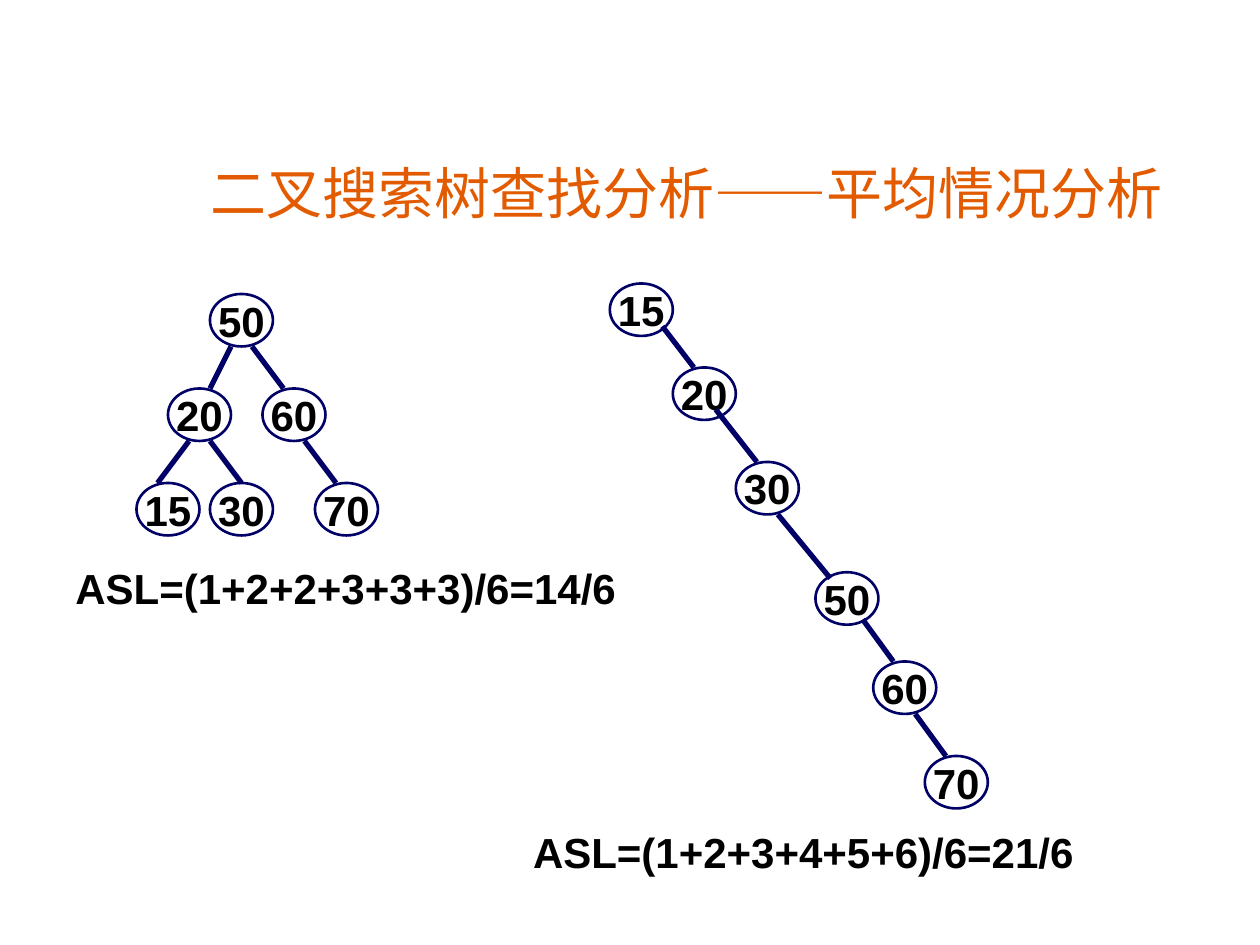
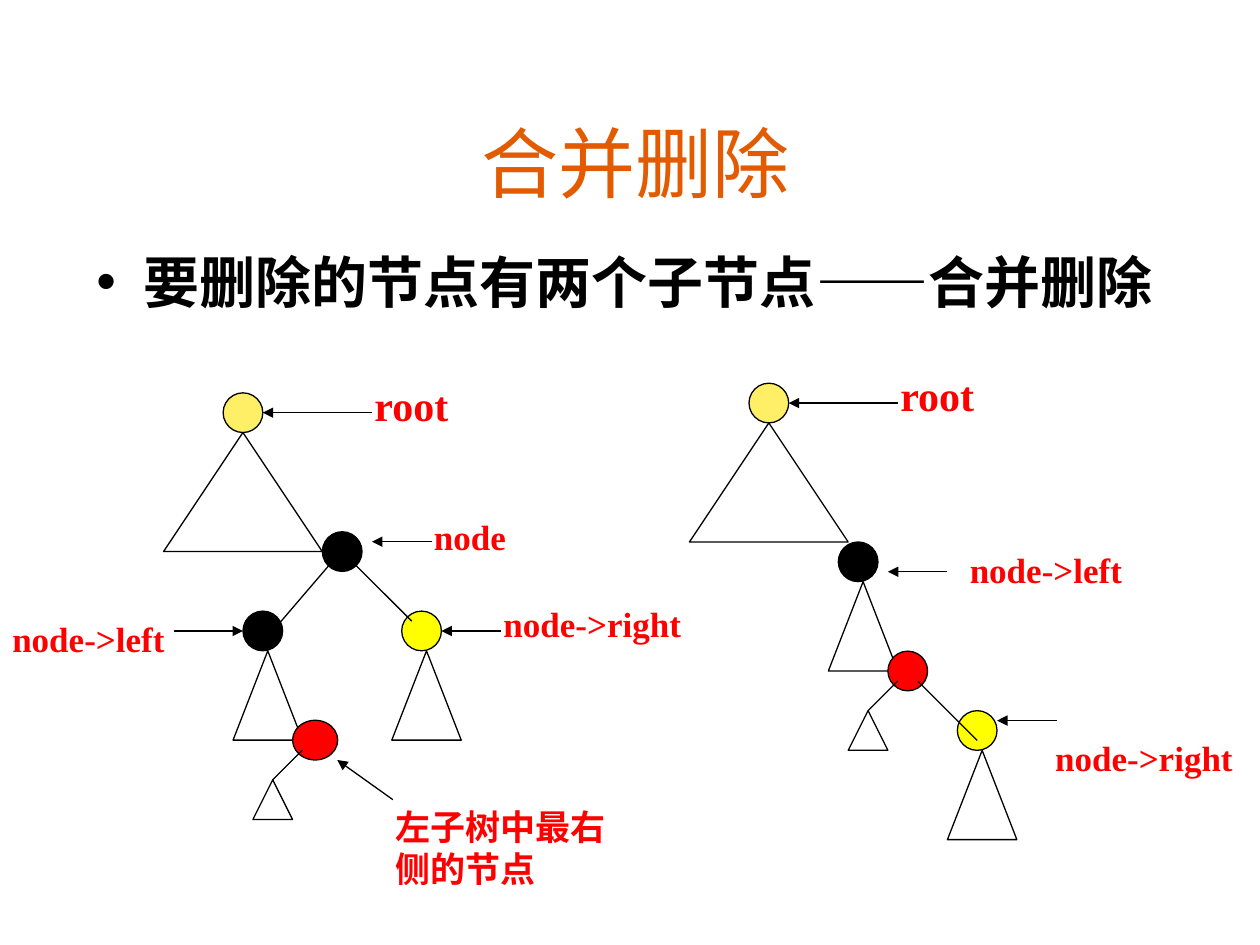
from dataclasses import dataclass

from lxml import etree
from pptx import Presentation
from pptx.dml.color import RGBColor
from pptx.enum.shapes import MSO_CONNECTOR, MSO_SHAPE
from pptx.enum.text import MSO_ANCHOR, MSO_AUTO_SIZE, PP_ALIGN
from pptx.oxml.ns import qn
from pptx.util import Pt

STRAIGHT = MSO_CONNECTOR.STRAIGHT
OVAL, TRIANGLE = MSO_SHAPE.OVAL, MSO_SHAPE.ISOSCELES_TRIANGLE
TOP, MIDDLE, BOTTOM = MSO_ANCHOR.TOP, MSO_ANCHOR.MIDDLE, MSO_ANCHOR.BOTTOM
LEFT, CENTER = PP_ALIGN.LEFT, PP_ALIGN.CENTER
NO_FIT = MSO_AUTO_SIZE.NONE


@dataclass(frozen=True)
class Theme:
    """Colours, fonts and sizes that the slides share."""
    orange: str = "E25B00"
    navy: str = "000066"
    black: str = "000000"
    red: str = "FF0000"
    yellow: str = "FFFF00"
    cream: str = "FFEF66"
    cjk: str = "Noto Sans CJK SC"
    sans: str = "Arial"
    serif: str = "Times New Roman"
    comic: str = "Comic Neue"
    heading: int = 44
    body: int = 32
    label: int = 24
    small: int = 20
    thin: float = 0.75
    outline: float = 1.5
    edge: float = 3


T = Theme()
NODE_W, NODE_H = 36, 30
UNIT = 5.67

BALANCED = dict(
    nodes={"50": (42, 0), "20": (18, 54), "60": (72, 54),
           "15": (0, 108), "30": (42, 108), "70": (102, 108)},
    edges=[("50", "20", (-6, 0), (6, 0)), ("50", "60", (6, 0), (-6, 0)),
           ("20", "15", (-6, 0), (-6, 0)), ("20", "30", (6, 0), (0, 0)),
           ("60", "70", (6, 0), (-6, 0))])
CHAIN = dict(
    nodes={"15": (0, 0), "20": (36, 48), "30": (72, 102),
           "50": (117.5, 165), "60": (150.5, 216), "70": (180, 270)},
    edges=[("15", "20", (12, -5.5), (-6, 0)), ("20", "30", (6.5, -6), (-6, 0)),
           ("30", "50", (6, 0), (-9.5, 3.5)), ("50", "60", (9, -3), (-6.5, 0)),
           ("60", "70", (6, 0), (-6, 0))])

BEFORE = dict(
    triangles=[(0, 4, 16, 12), (7, 26, 7, 9), (23, 26, 7, 9), (9, 39, 4, 4)],
    circles=[(6, 0, 4, T.cream), (16, 14, 4, T.black), (8, 22, 4, T.black),
             (24, 22, 4, T.yellow), (13, 33, 4.55, T.red)],
    branches=[(17, 17, 11, 24), (19, 17, 25, 23), (14, 36, 11, 39)],
    pointers=[(21, 2, 10, 2), (27, 15, 21, 15), (1, 24, 8, 24),
              (34, 24, 28, 24), (23.1, 41, 17.5, 37)],
    labels=[("root", 20, -2, 13, T.label), ("node", 26, 11.7, 13, T.small),
            ("node->left", -16.5, 22, 19.6, T.small),
            ("node->right", 33, 20.5, 22, T.small),
            ("左子树中最右侧的节点", 22.1, 41, 25, T.small)])
AFTER = dict(
    triangles=[(0, 4, 16, 12), (14, 20, 7, 9), (16, 33, 4, 4), (26, 37, 7, 9)],
    circles=[(6, 0, 4, T.cream), (15, 16, 4, T.black), (20, 27, 4, T.red),
             (27, 33, 4, T.yellow)],
    branches=[(23, 30, 29, 36), (21, 30, 18, 33)],
    pointers=[(21, 2, 10, 2), (26, 19, 20, 19), (37, 34, 31, 34)],
    labels=[("root", 20, -2, 13, T.label), ("node->left", 27, 16, 19.6, T.small),
            ("node->right", 35.6, 35, 22, T.small)])


def rgb(value):
    """Turn a hex string into a colour."""
    return RGBColor.from_string(value)


def apply(obj, **values):
    """Set each named attribute on an object."""
    for name, value in values.items():
        setattr(obj, name, value)


def add_run(p, text, font, size, color, bold=False):
    """Append a run whose Chinese characters use the shared font."""
    r = p.add_run()
    r.text = text
    apply(r.font, name=font, size=Pt(size), bold=bold)
    r.font.color.rgb = rgb(color)
    etree.SubElement(r.font._element, qn("a:ea")).set("typeface", T.cjk)


def frame(sp, anchor=TOP, align=LEFT, wrap=True):
    """Format a shape's text frame and return its first paragraph."""
    tf = sp.text_frame
    apply(tf, auto_size=NO_FIT, word_wrap=wrap, vertical_anchor=anchor)
    p = tf.paragraphs[0]
    apply(p, alignment=align, space_before=Pt(0))
    return p


def add_text(s, text, x, y, w, h, font, size, color):
    """Add a bold label in a text box."""
    sp = s.shapes.add_textbox(Pt(x), Pt(y), Pt(w), Pt(h))
    add_run(frame(sp), text, font, size, color, True)


def add_outline(s, kind, x, y, w, h, color, width, fill=None):
    """Add an outlined preset shape, filled when a colour is given."""
    sp = s.shapes.add_shape(kind, Pt(x), Pt(y), Pt(w), Pt(h))
    sp.shadow.inherit = False
    if fill:
        sp.fill.solid()
        sp.fill.fore_color.rgb = rgb(fill)
    else:
        sp.fill.background()
    sp.line.color.rgb = rgb(color)
    sp.line.width = Pt(width)
    return sp


def add_line(s, x1, y1, x2, y2, color, width, arrow=False):
    """Add a straight line, with an arrowhead at its end on request."""
    c = s.shapes.add_connector(STRAIGHT, Pt(x1), Pt(y1), Pt(x2), Pt(y2))
    c.line.color.rgb = rgb(color)
    c.line.width = Pt(width)
    if arrow:
        etree.SubElement(c.line._get_or_add_ln(), qn("a:tailEnd")).set("type", "triangle")
    etree.SubElement(c._element.spPr, qn("a:effectLst"))


def titled_slide(prs, text, box, size, anchor):
    """Add a title-only slide and place its title."""
    s = prs.slides.add_slide(prs.slide_layouts[5])
    sp = s.shapes.title
    apply(sp, **dict(zip(("left", "top", "width", "height"), map(Pt, box))))
    add_run(frame(sp, anchor, CENTER), text, T.cjk, size, T.orange)
    return s


def search_tree(s, x, y, nodes, edges):
    """Draw numbered nodes and the edges between them."""
    for label, (dx, dy) in nodes.items():
        sp = add_outline(s, OVAL, x + dx, y + dy, NODE_W, NODE_H, T.navy, T.outline)
        add_run(frame(sp, MIDDLE, CENTER, False), label, T.sans, T.label, T.black, True)
    for parent, child, start, end in edges:
        px, py = nodes[parent]
        cx, cy = nodes[child]
        mid = x + NODE_W / 2
        add_line(s, mid + px + start[0], y + py + NODE_H + start[1],
                 mid + cx + end[0], y + cy + end[1], T.navy, T.edge)


def merge_tree(s, x, y, triangles, circles, branches, pointers, labels):
    """Draw subtrees, nodes and their red labels on a unit grid."""
    def place(px, py):
        return x + px * UNIT, y + py * UNIT

    for px, py, w, h in triangles:
        add_outline(s, TRIANGLE, *place(px, py), w * UNIT, h * UNIT, T.black, T.thin)
    for px, py, w, fill in circles:
        add_outline(s, OVAL, *place(px, py), w * UNIT, 4 * UNIT, T.black, T.thin, fill)
    for lines, arrow in ((branches, False), (pointers, True)):
        for x1, y1, x2, y2 in lines:
            add_line(s, *place(x1, y1), *place(x2, y2), T.black, T.thin, arrow)
    for text, px, py, w, size in labels:
        add_text(s, text, *place(px, py), w * UNIT, size * 1.5, T.serif, size, T.red)


def bullet_line(s, x, y, w, h):
    """Add the bulleted statement under the title."""
    sp = s.shapes.add_textbox(Pt(x), Pt(y), Pt(w), Pt(h))
    p = frame(sp)
    pPr = p._p.get_or_add_pPr()
    pPr.set("marL", str(Pt(27)))
    pPr.set("indent", str(-Pt(27)))
    etree.SubElement(pPr, qn("a:buFont")).set("typeface", T.sans)
    etree.SubElement(pPr, qn("a:buChar")).set("char", "•")
    for text, font in (("要删除的节点有两个子节点", T.comic), ("——", T.sans),
                       ("合并删除", T.comic)):
        add_run(p, text, font, T.body, T.black, True)


def average_case_slide(prs):
    """Compare the search length of a balanced tree and a chain."""
    s = titled_slide(prs, "二叉搜索树查找分析——平均情况分析",
                     (65, 83, 655, 53), T.body, MIDDLE)
    search_tree(s, 78, 168, **BALANCED)
    search_tree(s, 348.5, 162, **CHAIN)
    for text, x, y in (("ASL=(1+2+2+3+3+3)/6=14/6", 36, 318),
                       ("ASL=(1+2+3+4+5+6)/6=21/6", 297.5, 469)):
        add_text(s, text, x, y, 342, 36, T.sans, T.label, T.black)


def merge_delete_slide(prs):
    """Show a tree before and after deletion by merging."""
    s = titled_slide(prs, "合并删除", (54, 62.5, 618, 60), T.heading, BOTTOM)
    bullet_line(s, 48, 138, 641, 58)
    merge_tree(s, 93.5, 224.5, **BEFORE)
    merge_tree(s, 394, 219, **AFTER)


def main():
    """Build and save the presentation."""
    prs = Presentation()
    apply(prs, slide_width=Pt(720), slide_height=Pt(540))
    average_case_slide(prs)
    merge_delete_slide(prs)
    prs.save("out.pptx")


if __name__ == "__main__":
    main()
